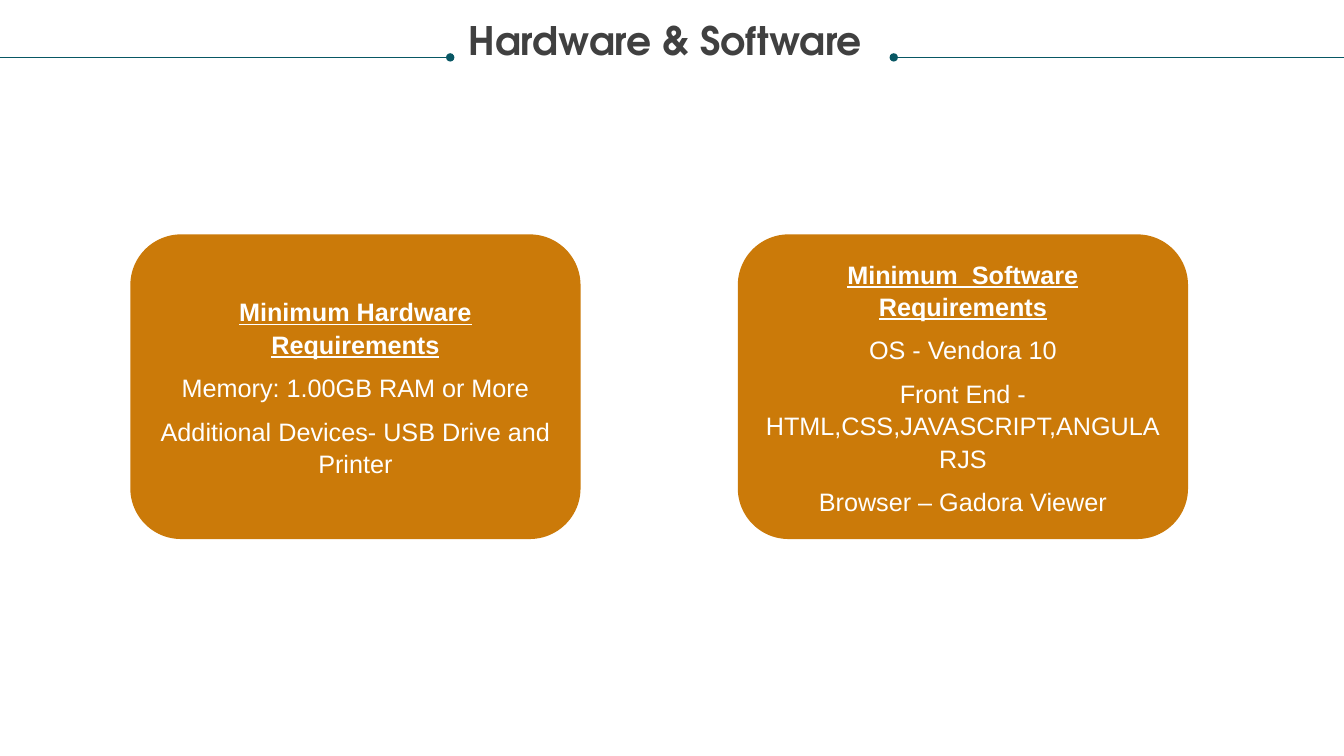
from dataclasses import dataclass

from pptx import Presentation
from pptx.dml.color import RGBColor
from pptx.enum.shapes import MSO_CONNECTOR, MSO_SHAPE
from pptx.enum.text import MSO_ANCHOR, PP_ALIGN
from pptx.oxml.ns import qn
from pptx.util import Inches, Pt
from lxml import etree

LINE = MSO_CONNECTOR.STRAIGHT
ROUND = MSO_SHAPE.ROUNDED_RECTANGLE
MIDDLE, TOP = MSO_ANCHOR.MIDDLE, MSO_ANCHOR.TOP
CENTER = PP_ALIGN.CENTER
WIDTH, HEIGHT = Inches(13.33), Inches(7.5)


@dataclass(frozen=True)
class Theme:
    rule: RGBColor = RGBColor(0x08, 0x57, 0x64)
    title: RGBColor = RGBColor(0x40, 0x40, 0x40)
    card: RGBColor = RGBColor(0xCB, 0x7A, 0x09)
    text: RGBColor = RGBColor(0xFF, 0xFF, 0xFF)
    head_font: str = "TeX Gyre Adventor"
    body_font: str = "Arial"
    head_size: Pt = Pt(28)
    body_size: Pt = Pt(18)
    rule_size: Pt = Pt(0.5)


THEME = Theme()
HEAD = {"name": THEME.head_font, "size": THEME.head_size, "bold": True}
BODY = {"name": THEME.body_font, "size": THEME.body_size}
LABEL = {**BODY, "bold": True, "underline": True}
PAR = {"alignment": CENTER, "line_spacing": 1.07, "space_after": Pt(8)}

# Boxes are left, top, width and height as shares of the slide.
HEAD_BOX = (0, 0.028, 1, 0.113)
CARD_TOP, CARD_WIDE, CARD_HIGH = 0.31, 0.335, 0.403
CARDS = [
    (0.097, "Minimum Hardware Requirements", [
        "Memory: 1.00GB RAM or More",
        "Additional Devices- USB Drive and Printer",
    ]),
    (0.549, "Minimum  Software Requirements", [
        "OS - Vendora 10",
        "Front End - HTML,CSS,JAVASCRIPT,ANGULARJS",
        "Browser – Gadora Viewer",
    ]),
]


def scale(box):
    """Turn shares of the slide into lengths."""
    left, top, wide, high = box
    return (int(left * WIDTH), int(top * HEIGHT),
            int(wide * WIDTH), int(high * HEIGHT))


def apply(target, values):
    for name, value in values.items():
        setattr(target, name, value)


def write(par, text, font, color, layout):
    apply(par, layout)
    run = par.add_run()
    run.text = text
    apply(run.font, font)
    run.font.color.rgb = color


def add_rule(slide, start, end, y):
    """Draw a line from the slide's edge to a dot at its inner end."""
    rule = slide.shapes.add_connector(LINE, start, y, end, y)
    rule.line.color.rgb = THEME.rule
    rule.line.width = THEME.rule_size
    props = rule._element.spPr
    etree.SubElement(props.find(qn("a:ln")), qn("a:tailEnd"), type="oval")
    etree.SubElement(props, qn("a:effectLst"))


def add_head(slide, box, text):
    left, top, wide, high = scale(box)
    y = top + int(0.424 * high)
    add_rule(slide, left, left + int(0.335 * wide), y)
    add_rule(slide, left + wide, left + int(0.665 * wide), y)
    # The title sits slightly left of the middle.
    title = slide.shapes.add_textbox(left, top, int(0.99 * wide), high)
    frame = title.text_frame
    apply(frame, {"word_wrap": True, "vertical_anchor": TOP,
                  "margin_left": 0, "margin_right": 0,
                  "margin_top": 0, "margin_bottom": 0})
    write(frame.paragraphs[0], text, HEAD, THEME.title,
          {"alignment": CENTER, "line_spacing": 0.9})


def add_card(slide, box, label, items):
    card = slide.shapes.add_shape(ROUND, *scale(box))
    card.shadow.inherit = False
    card.fill.solid()
    card.fill.fore_color.rgb = THEME.card
    card.line.fill.background()
    frame = card.text_frame
    apply(frame, {"word_wrap": True, "vertical_anchor": MIDDLE})
    write(frame.paragraphs[0], label, LABEL, THEME.text, PAR)
    for item in items:
        write(frame.add_paragraph(), item, BODY, THEME.text, PAR)


def main():
    deck = Presentation()
    deck.slide_width, deck.slide_height = WIDTH, HEIGHT
    slide = deck.slides.add_slide(deck.slide_layouts[6])
    add_head(slide, HEAD_BOX, "Hardware & Software")
    for left, label, items in CARDS:
        add_card(slide, (left, CARD_TOP, CARD_WIDE, CARD_HIGH), label, items)
    deck.save("out.pptx")


if __name__ == "__main__":
    main()
